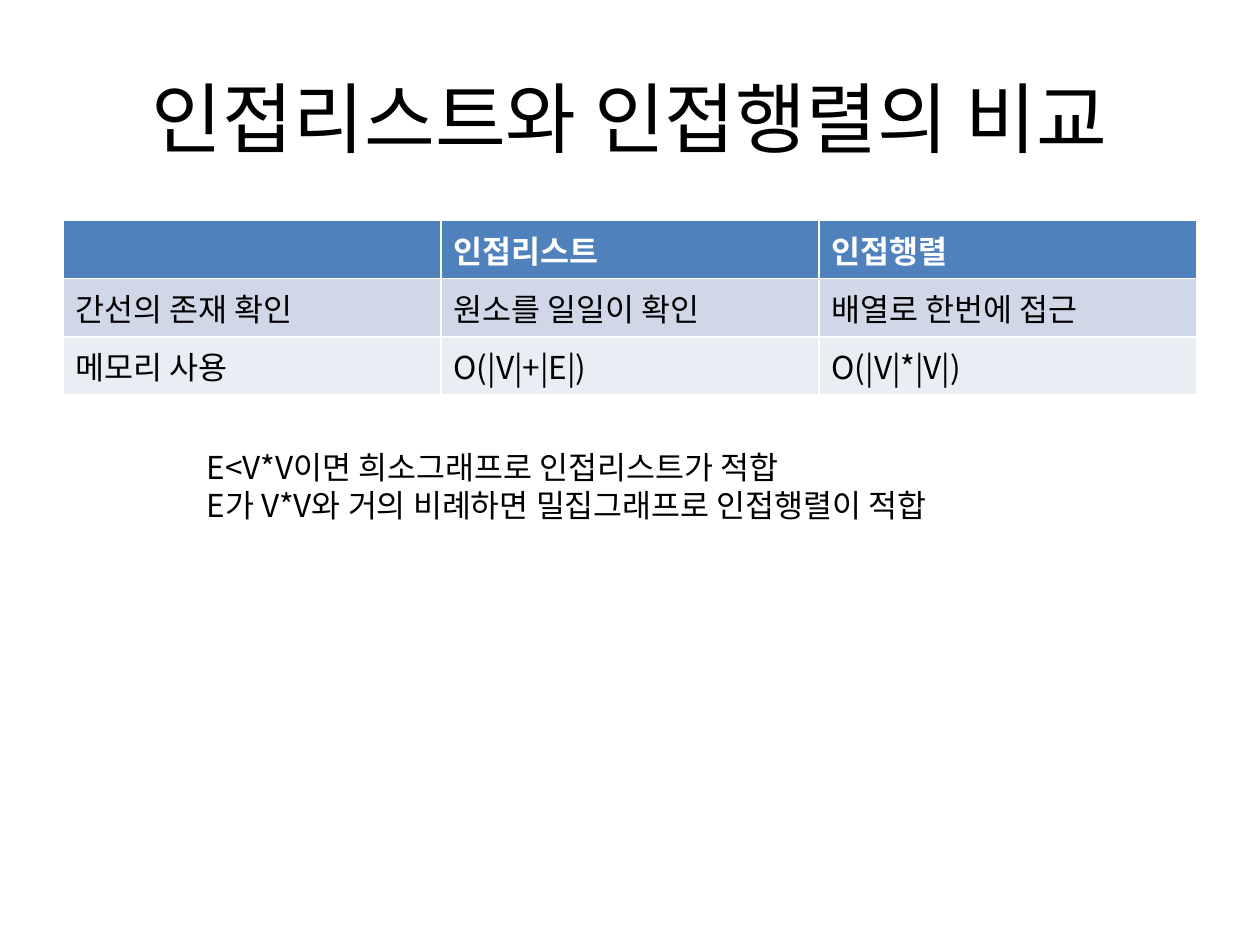
from dataclasses import dataclass

from lxml.etree import SubElement
from pptx import Presentation
from pptx.dml.color import RGBColor as Color
from pptx.enum.text import MSO_ANCHOR as Anchor, MSO_AUTO_SIZE as AutoSize, PP_ALIGN as Align
from pptx.oxml.ns import qn
from pptx.util import Inches, Pt

TITLE = "인접리스트와 인접행렬의 비교"
COMPARISON = [
    ["", "인접리스트", "인접행렬"],
    ["간선의 존재 확인", "원소를 일일이 확인", "배열로 한번에 접근"],
    ["메모리 사용", "O(|V|+|E|)", "O(|V|*|V|)"],
]
CONCLUSIONS = [
    "E<V*V이면 희소그래프로 인접리스트가 적합",
    "E가 V*V와 거의 비례하면 밀집그래프로 인접행렬이 적합",
]


@dataclass(frozen=True)
class Theme:
    font: str = "Noto Sans CJK KR"
    title_size: int = 44
    body_size: int = 18
    text: str = "000000"
    header_text: str = "FFFFFF"
    header_fill: str = "4F81BD"
    band_fills: tuple = ("D0D8E8", "E9EDF4")


THEME = Theme()
WIDTH, HEIGHT, MARGIN = 10, 7.5, 0.5
ROW_HEIGHT = 0.41


def write_text(frame, lines, size=THEME.body_size, color=THEME.text, bold=False, align=None):
    for index, line in enumerate(lines):
        paragraph = frame.paragraphs[0] if index == 0 else frame.add_paragraph()
        paragraph.alignment = align
        run = paragraph.add_run()
        run.text = line
        font = run.font
        font.size, font.bold, font.name = Pt(size), bold, THEME.font
        font.color.rgb = Color.from_string(color)
        SubElement(run._r.get_or_add_rPr(), qn("a:ea"), typeface=THEME.font)


def add_title(slide):
    title = slide.shapes.title
    title.left, title.top = Inches(MARGIN), Inches(0.3)
    title.width, title.height = Inches(WIDTH - 2 * MARGIN), Inches(1.25)
    title.text_frame.vertical_anchor = Anchor.MIDDLE
    write_text(title.text_frame, [TITLE], size=THEME.title_size, align=Align.CENTER)


def add_comparison(slide):
    rows, columns = len(COMPARISON), len(COMPARISON[0])
    table = slide.shapes.add_table(
        rows, columns, Inches(MARGIN), Inches(1.75),
        Inches(WIDTH - 2 * MARGIN), Inches(rows * ROW_HEIGHT),
    ).table
    for row, texts in enumerate(COMPARISON):
        header = row == 0
        fill = THEME.header_fill if header else THEME.band_fills[(row - 1) % 2]
        for column, text in enumerate(texts):
            cell = table.cell(row, column)
            cell.fill.solid()
            cell.fill.fore_color.rgb = Color.from_string(fill)
            if text:
                write_text(cell.text_frame, [text], bold=header,
                           color=THEME.header_text if header else THEME.text)


def add_conclusions(slide):
    box = slide.shapes.add_textbox(Inches(1.54), Inches(3.51), Inches(7.01), Inches(0.71))
    box.text_frame.word_wrap = True
    box.text_frame.auto_size = AutoSize.SHAPE_TO_FIT_TEXT
    write_text(box.text_frame, CONCLUSIONS)


def main():
    presentation = Presentation()
    presentation.slide_width, presentation.slide_height = Inches(WIDTH), Inches(HEIGHT)
    slide = presentation.slides.add_slide(presentation.slide_layouts[5])
    add_title(slide)
    add_comparison(slide)
    add_conclusions(slide)
    presentation.save("out.pptx")


if __name__ == "__main__":
    main()
